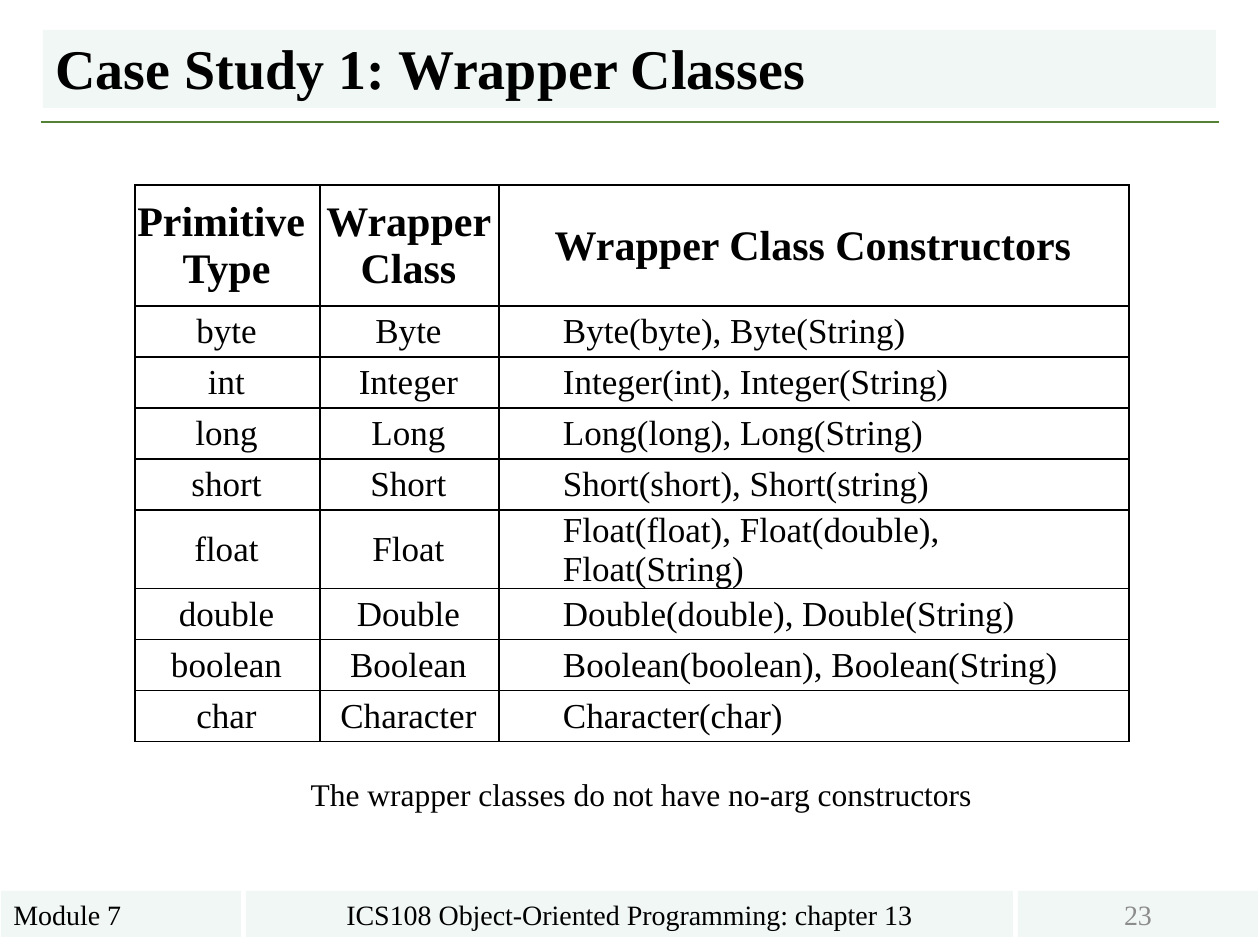
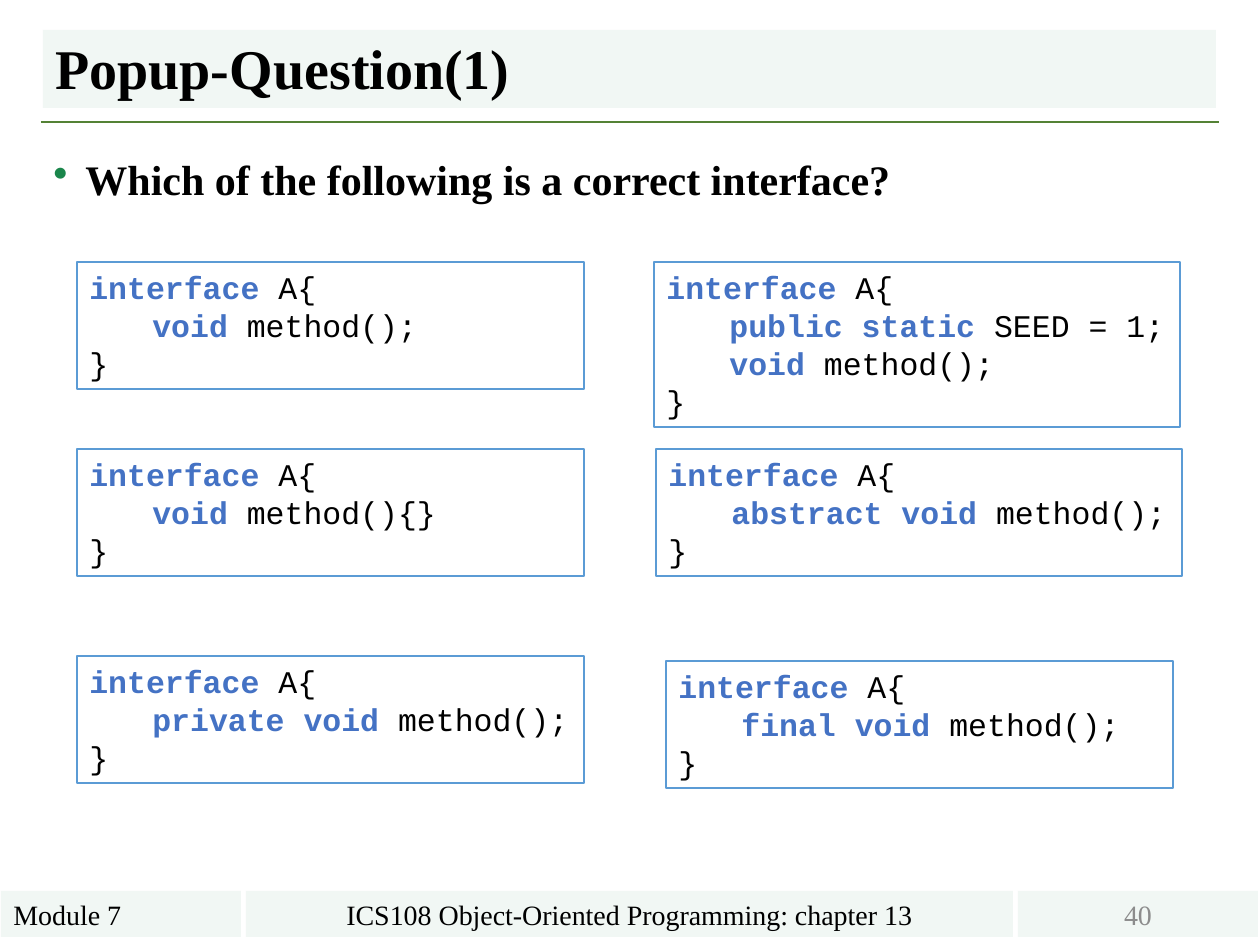
from lxml import etree
from pptx import Presentation
from pptx.dml.color import RGBColor
from pptx.enum.shapes import MSO_CONNECTOR, MSO_SHAPE
from pptx.enum.text import MSO_ANCHOR, PP_ALIGN
from pptx.oxml.ns import qn
from pptx.util import Emu, Pt

RECTANGLE = MSO_SHAPE.RECTANGLE
STRAIGHT = MSO_CONNECTOR.STRAIGHT
TOP, MIDDLE, BOTTOM = MSO_ANCHOR.TOP, MSO_ANCHOR.MIDDLE, MSO_ANCHOR.BOTTOM
LEFT, CENTER = PP_ALIGN.LEFT, PP_ALIGN.CENTER

EMU_PER_PX = 914400 / 126
SERIF, MONO = "Times New Roman", "Courier New"
COLORS = {
    "text": "000000",
    "band": "F1F7F4",
    "rule": "548235",
    "bullet": "1A864B",
    "page_number": "8C8C8C",
    "code_border": "5B9BD5",
    "keyword": "4472C4",
}
FORMATS = {
    "title": {"name": SERIF, "size": Pt(32), "bold": True},
    "heading": {"name": SERIF, "size": Pt(24), "bold": True},
    "cell": {"name": SERIF, "size": Pt(20), "bold": False},
    "caption": {"name": SERIF, "size": Pt(18), "bold": False},
    "footer": {"name": SERIF, "size": Pt(16), "bold": False},
    "code": {"name": MONO, "size": Pt(18), "bold": False},
    "keyword": {"name": MONO, "size": Pt(18), "bold": True},
}

TITLE_BOX = (43, 30, 1173, 78)
TITLE_RULE = (41, 122, 1178)
FOOTER_BOX = (1, 891, 1257, 46)
TABLE_BOX = (135, 185, 994, 529)
CAPTION_BOX = (285, 769, 713, 50)
QUESTION_BOX = (41, 147, 1177, 93)

COLUMN_WIDTHS = (185, 179, 630)
HEADER_HEIGHT = 121
WRAPPER_ROWS = [
    ("Primitive \nType", "Wrapper Class", "Wrapper Class Constructors"),
    ("byte", "Byte", "Byte(byte), Byte(String)"),
    ("int", "Integer", "Integer(int), Integer(String)"),
    ("long", "Long", "Long(long), Long(String)"),
    ("short", "Short", "Short(short), Short(string)"),
    ("float", "Float", "Float(float), Float(double), Float(String)"),
    ("double", "Double", "Double(double), Double(String)"),
    ("boolean", "Boolean", "Boolean(boolean), Boolean(String)"),
    ("char", "Character", "Character(char)"),
]
INTERFACES = [
    ((77, 262, 507), [("void", " method();")]),
    ((77, 449, 507), [("void", " method(){}")]),
    ((77, 656, 507), [("private void", " method();")]),
    ((654, 262, 526), [("public static", " SEED = 1;"), ("void", " method();")]),
    ((656, 449, 526), [("abstract void", " method();")]),
    ((666, 661, 507), [("final void", " method();")]),
]


def px(length):
    """Turn a length in px into EMU."""
    return Emu(round(length * EMU_PER_PX))


def rgb(name):
    """Look up a named colour."""
    return RGBColor.from_string(COLORS[name])


def add_run(paragraph, text, style, color="text"):
    """Add a run of text in a named format."""
    run = paragraph.add_run()
    run.text = text
    for attribute, value in FORMATS[style].items():
        setattr(run.font, attribute, value)
    run.font.color.rgb = rgb(color)


def add_box(slide, box, fill=None, line=None, anchor=TOP):
    """Add a rectangle with an optional fill and outline."""
    shape = slide.shapes.add_shape(RECTANGLE, *map(px, box))
    shape.shadow.inherit = False
    if fill:
        shape.fill.solid()
        shape.fill.fore_color.rgb = rgb(fill)
    else:
        shape.fill.background()
    if line:
        shape.line.color.rgb = rgb(line)
        shape.line.width = Pt(0.75)
    else:
        shape.line.fill.background()
    shape.text_frame.word_wrap = True
    shape.text_frame.vertical_anchor = anchor
    shape.text_frame.paragraphs[0].alignment = LEFT
    return shape


def add_band(slide, box, text, style, color="text", align=LEFT, anchor=TOP):
    """Add a tinted band with one line of text."""
    paragraph = add_box(slide, box, "band", anchor=anchor).text_frame.paragraphs[0]
    paragraph.alignment = align
    add_run(paragraph, text, style, color)
    return paragraph


def add_text(slide, box, text, style, align=LEFT):
    """Add a wrapping text box with one paragraph."""
    frame = slide.shapes.add_textbox(*map(px, box)).text_frame
    frame.word_wrap = True
    paragraph = frame.paragraphs[0]
    paragraph.alignment = align
    add_run(paragraph, text, style)
    return paragraph


def add_title(slide, text):
    """Add the title band and the rule under it."""
    add_band(slide, TITLE_BOX, text, "title", anchor=BOTTOM).line_spacing = 0.9
    left, top, width = TITLE_RULE
    rule = slide.shapes.add_connector(
        STRAIGHT, px(left), px(top), px(left + width), px(top))
    rule.line.color.rgb = rgb("rule")
    rule.line.width = Pt(1.5)
    etree.SubElement(rule._element.spPr, qn("a:effectLst"))


def add_footer(slide, box, number):
    """Add the three footer bands, with equal outer bands and gaps."""
    left, top, width, height = box
    side, gap = 240, 5
    middle = width - 2 * (side + gap)
    add_band(slide, (left, top, side, height), "Module 7", "footer")
    add_band(slide, (left + side + gap, top, middle, height),
             "ICS108 Object-Oriented Programming: chapter 13", "footer", align=CENTER)
    add_band(slide, (left + width - side, top, side, height), str(number),
             "footer", "page_number", CENTER, MIDDLE)


def add_framed_slide(presentation, title, number):
    """Add a blank slide with the shared title and footer."""
    slide = presentation.slides.add_slide(presentation.slide_layouts[6])
    add_title(slide, title)
    add_footer(slide, FOOTER_BOX, number)
    return slide


def draw_borders(cell):
    """Give a cell thin black borders and no fill."""
    properties = cell._tc.get_or_add_tcPr()
    for side in ("lnL", "lnR", "lnT", "lnB"):
        border = etree.SubElement(properties, qn(f"a:{side}"), w=str(Pt(1)))
        solid = etree.SubElement(border, qn("a:solidFill"))
        etree.SubElement(solid, qn("a:srgbClr"), val=COLORS["text"])
    cell.fill.background()


def fill_cell(cell, text, is_header, is_indented):
    """Write and format one table cell."""
    margins = {"margin_left": 1, "margin_top": 1, "margin_right": 3, "margin_bottom": 0}
    for attribute, value in margins.items():
        setattr(cell, attribute, px(value))
    cell.vertical_anchor = MIDDLE
    draw_borders(cell)
    frame = cell.text_frame
    for index, line in enumerate(text.split("\n")):
        paragraph = frame.add_paragraph() if index else frame.paragraphs[0]
        paragraph.alignment = LEFT if is_indented else CENTER
        if is_indented:
            paragraph.level = 1
            properties = paragraph._p.get_or_add_pPr()
            properties.set("marL", str(px(63)))
            properties.set("indent", "0")
        add_run(paragraph, line, "heading" if is_header else "cell")


def add_wrapper_table(slide, box):
    """Add the table of wrapper classes."""
    height = box[3]
    table = slide.shapes.add_table(
        len(WRAPPER_ROWS), len(COLUMN_WIDTHS), *map(px, box)).table
    table.first_row = table.horz_banding = False
    for column, width in zip(table.columns, COLUMN_WIDTHS):
        column.width = px(width)
    body_height = (height - HEADER_HEIGHT) / (len(WRAPPER_ROWS) - 1)
    for row_index, texts in enumerate(WRAPPER_ROWS):
        is_header = row_index == 0
        table.rows[row_index].height = px(HEADER_HEIGHT if is_header else body_height)
        for column_index, text in enumerate(texts):
            is_indented = column_index == 2 and not is_header
            fill_cell(table.cell(row_index, column_index), text, is_header, is_indented)


def add_question(slide, box, text):
    """Add the bulleted question."""
    paragraph = add_text(slide, box, text, "heading")
    properties = paragraph._p.get_or_add_pPr()
    properties.set("marL", str(px(32)))
    properties.set("indent", str(-px(32)))
    color = etree.SubElement(properties, qn("a:buClr"))
    etree.SubElement(color, qn("a:srgbClr"), val=COLORS["bullet"])
    etree.SubElement(properties, qn("a:buChar"), char="•")


def add_interface(slide, place, members):
    """Add a code box sized to its number of lines."""
    lines = [("", "interface", " A{")]
    lines += [("\t", keyword, rest) for keyword, rest in members]
    lines.append(("", "", "}"))
    shape = add_box(slide, (*place, 13 + 38 * len(lines)), line="code_border")
    frame = shape.text_frame
    for index, (indent, keyword, rest) in enumerate(lines):
        paragraph = frame.add_paragraph() if index else frame.paragraphs[0]
        paragraph.alignment = LEFT
        if indent:
            tabs = etree.SubElement(paragraph._p.get_or_add_pPr(), qn("a:tabLst"))
            etree.SubElement(tabs, qn("a:tab"), pos=str(px(63)), algn="l")
            add_run(paragraph, indent, "code")
        if keyword:
            add_run(paragraph, keyword, "keyword", "keyword")
        add_run(paragraph, rest, "code")


def build_wrapper_slide(presentation):
    """Build the wrapper classes slide."""
    slide = add_framed_slide(presentation, "Case Study 1: Wrapper Classes", 23)
    add_wrapper_table(slide, TABLE_BOX)
    add_text(slide, CAPTION_BOX, "The wrapper classes do not have no-arg constructors",
             "caption", CENTER)


def build_question_slide(presentation):
    """Build the interface question slide."""
    slide = add_framed_slide(presentation, "Popup-Question(1)", 40)
    add_question(slide, QUESTION_BOX, "Which of the following is a correct interface?")
    for place, members in INTERFACES:
        add_interface(slide, place, members)


def main():
    """Build and save the presentation."""
    presentation = Presentation()
    presentation.slide_width, presentation.slide_height = px(1260), px(945)
    build_wrapper_slide(presentation)
    build_question_slide(presentation)
    presentation.save("out.pptx")


if __name__ == "__main__":
    main()
